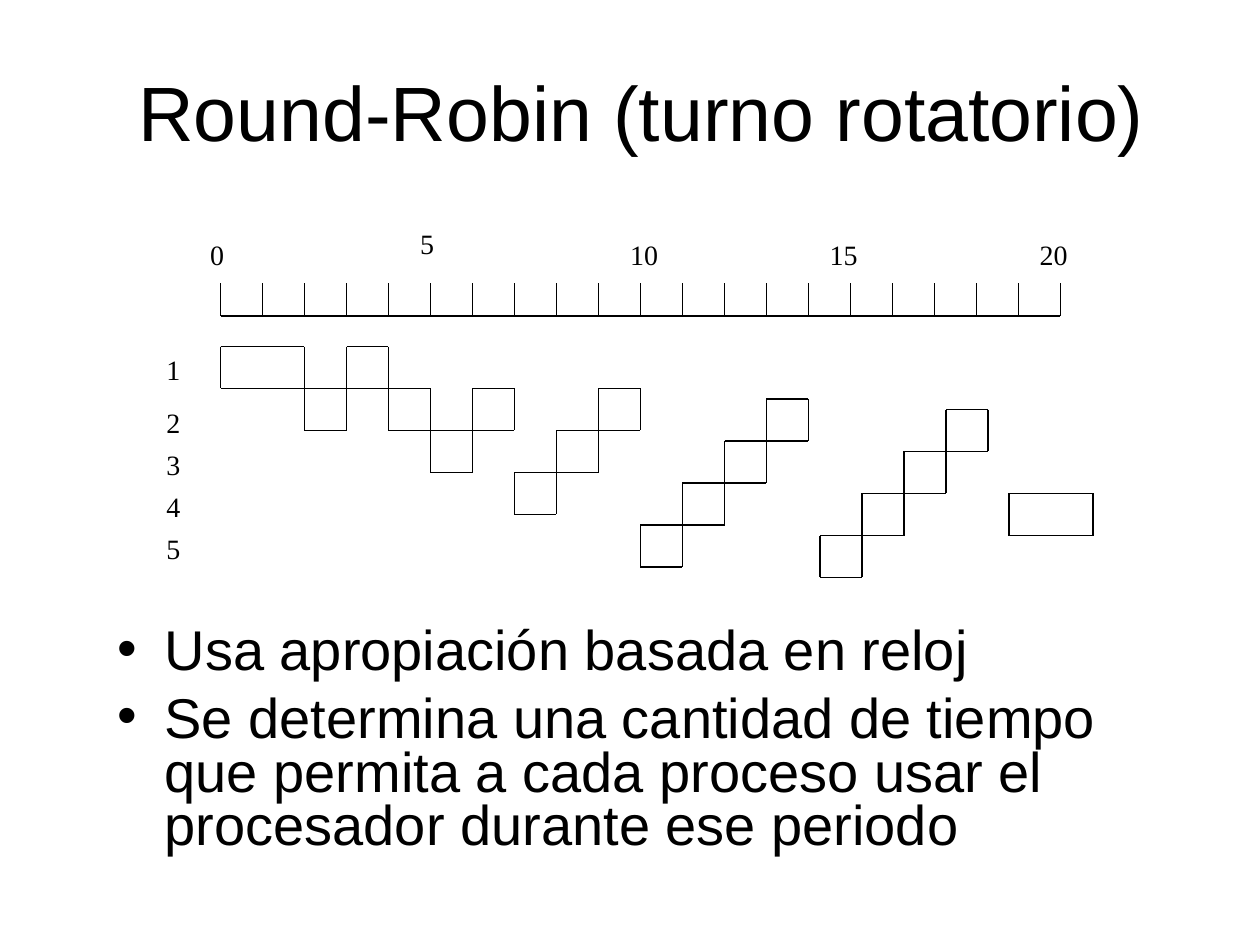
from pptx import Presentation
from pptx.dml.color import RGBColor
from pptx.enum import text as t
from pptx.oxml import xmlchemy as xc
from pptx.util import Pt

BLACK = "000000"
UNIT = 24  # one clock tick, and the height of one process row


def color(code):
    return RGBColor.from_string(code)


def write(shapes, box, *lines, font="Arial", size=16, align=t.PP_ALIGN.LEFT,
          anchor=t.MSO_ANCHOR.TOP, wrap=True, bullet=None, lead=None, gap=0):
    shape = shapes.add_textbox(*map(Pt, box))
    frame = shape.text_frame
    frame.word_wrap = wrap
    frame.vertical_anchor = anchor
    for i, line in enumerate(lines):
        para = frame.add_paragraph() if i else frame.paragraphs[0]
        para.alignment = align
        para.line_spacing = lead
        para.space_before = Pt(gap)
        run = para.add_run()
        run.text = line
        run.font.name = font
        run.font.size = Pt(size)
        run.font.color.rgb = color(BLACK)
        if bullet:
            mark(para, bullet, font)


def mark(para, char, font, indent=27):
    """Give a paragraph a hanging bullet."""
    props = para._p.get_or_add_pPr()
    props.set("marL", str(Pt(indent)))
    props.set("indent", str(-Pt(indent)))
    for tag, key, value in (("a:buFont", "typeface", font),
                            ("a:buChar", "char", char)):
        part = xc.OxmlElement(tag)
        part.set(key, value)
        props.append(part)


def rule(shapes, *ends):
    line = shapes.add_connector(1, *map(Pt, ends))
    line.line.color.rgb = color(BLACK)
    line.line.width = Pt(1)
    line._element.spPr.append(xc.OxmlElement("a:effectLst"))


def label(shapes, left, top, value):
    width = 24 if value < 10 else 32
    write(shapes, (left, top, width, 26), str(value),
          font="Times New Roman", wrap=False)


def axis(slide, left, top, ticks=20, height=19):
    shapes = slide.shapes.add_group_shape().shapes
    base = top + height
    rule(shapes, left, base, left + ticks * UNIT, base)
    for i in range(ticks + 1):
        x = left + i * UNIT
        rule(shapes, x, base, x, top)
    # value, shift from its tick, height above the axis
    for value, dx, dy in ((0, -13, 29.5), (5, -13, 35.5), (10, -13, 29.5),
                          (15, -19, 29.5), (20, -19, 29.5)):
        label(shapes, left + value * UNIT + dx, top - dy, value)


def block(slide, left, top, width):
    """Outline one turn of a process."""
    shapes = slide.shapes.add_group_shape().shapes
    right, base = left + width, top + UNIT
    for y in (top, base):
        rule(shapes, left, y, right, y)
    for x in (left, right):
        rule(shapes, x, top, x, base)


def chart(slide, left, top):
    for value, dy in enumerate((0, 30, 54, 78, 102), 1):
        label(slide.shapes, left - 38, top + dy, value)
    # start tick, start row, turns rising to the right, ticks per turn
    for start, row, turns, span in (
            (0, 0, 1, 2), (2, 1, 2, 1), (4, 1, 1, 1), (5, 2, 2, 1),
            (7, 3, 3, 1), (10, 4.25, 4, 1), (14.28, 4.5, 4, 1),
            (18.78, 3.5, 1, 2)):
        for i in range(turns):
            block(slide, left + (start + i) * UNIT,
                  top + (row - i) * UNIT, span * UNIT)


def main():
    deck = Presentation()
    deck.slide_width, deck.slide_height = Pt(720), Pt(540)
    slide = deck.slides.add_slide(deck.slide_layouts[6])
    write(slide.shapes, (60, 355, 612, 147.5),
          "Usa apropiación basada en reloj",
          "Se determina una cantidad de tiempo que permita a cada proceso "
          "usar el procesador durante ese periodo",
          size=32, bullet="•", lead=0.8, gap=8)
    write(slide.shapes, (31.5, 18, 670.5, 90), "Round-Robin (turno rotatorio)",
          size=44, align=t.PP_ALIGN.CENTER, anchor=t.MSO_ANCHOR.MIDDLE)
    axis(slide, 126, 161.5)
    chart(slide, 126, 198)
    deck.save("out.pptx")


if __name__ == "__main__":
    main()
